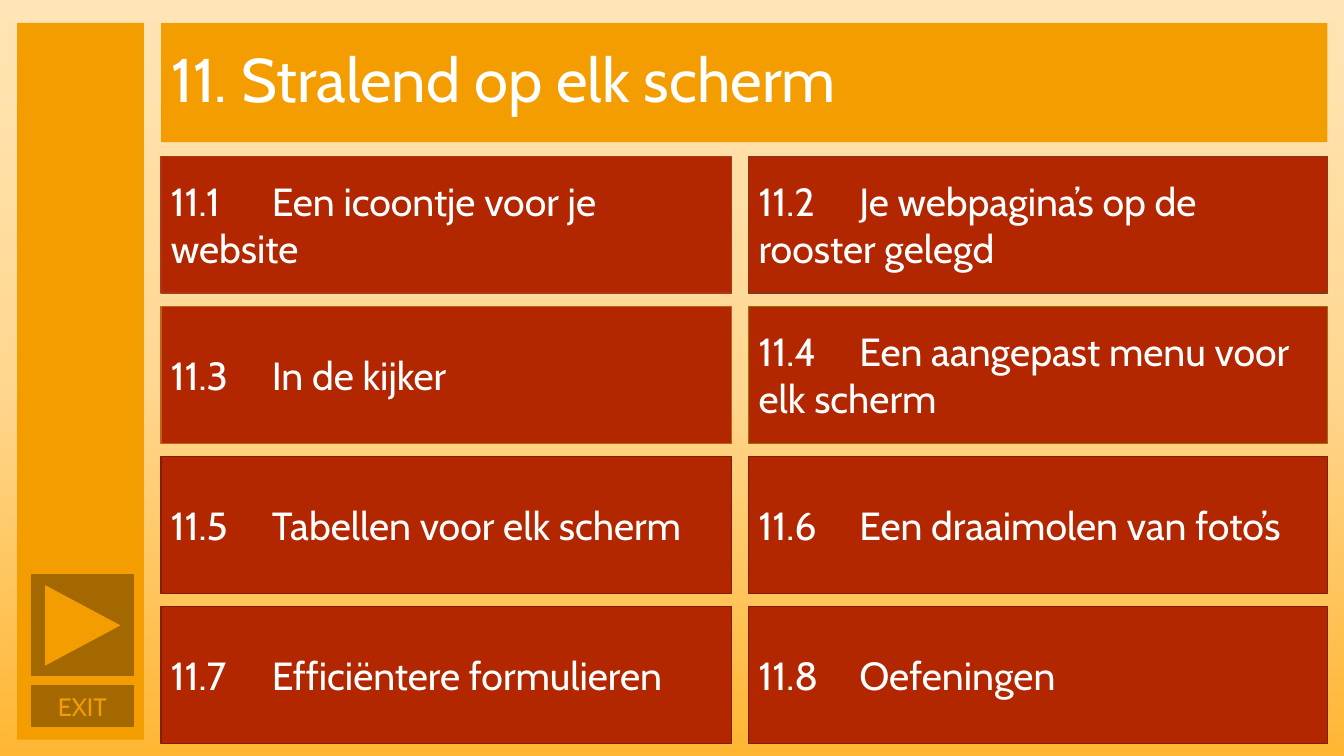
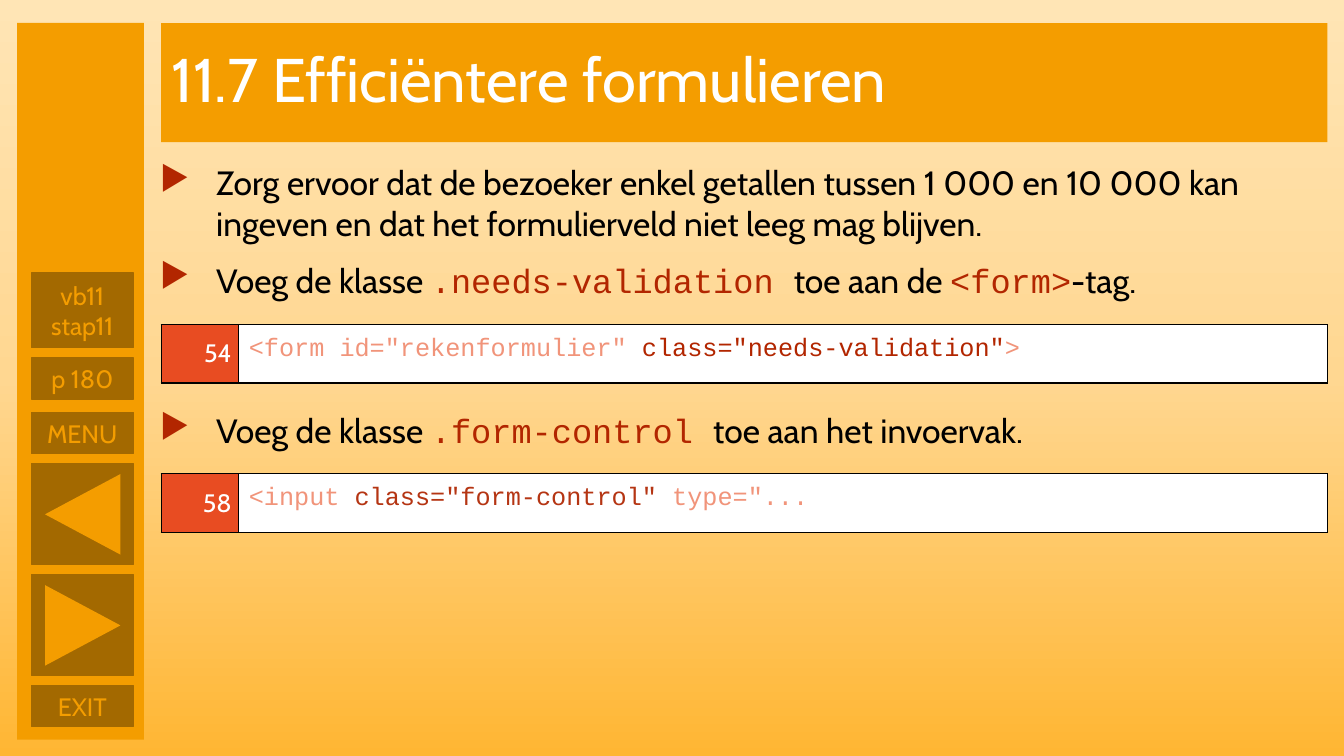
from copy import deepcopy

from lxml import etree
from pptx import Presentation
from pptx.dml.color import RGBColor as Rgb
from pptx.enum.shapes import MSO_SHAPE as Shape
from pptx.enum.text import MSO_ANCHOR as Anchor, PP_ALIGN as Align
from pptx.oxml import parse_xml
from pptx.oxml.ns import nsdecls, qn
from pptx.util import Cm, Pt

COLORS = {
    "orange": "F49D00",
    "button": "A36900",
    "tile": "B22600",
    "line number": "E84C22",
    "faded code": "F1947A",
    "attribute": "B53513",
    "white": "FFFFFF",
    "black": "000000",
}
BACKGROUND_STOPS = [(0, "FFE5B5"), (0.5, "FFD791"), (1, "FFB633")]
BODY_FONT, CODE_FONT = "Cabin", "Courier New"

# Text styles: font, size, colour
STYLES = {
    "title": (BODY_FONT, 44, "white"),
    "tile": (BODY_FONT, 28, "white"),
    "button": (BODY_FONT, 18, "orange"),
    "body": (BODY_FONT, 24, "black"),
    "keyword": (CODE_FONT, 24, "tile"),
    "line number": (BODY_FONT, 18, "white"),
    "faded": (CODE_FONT, 18, "faded code"),
    "new": (CODE_FONT, 18, "tile"),
    "attribute": (CODE_FONT, 18, "attribute"),
}

# Shared layout, in centimetres
TOP = 0.58
CONTENT_LEFT, CONTENT_WIDTH = 4.06, 29.39
BUTTON_LEFT, BUTTON_WIDTH, BUTTON_HEIGHT = 0.79, 2.57, 1.04
ARROW_BUTTON_HEIGHT = 2.54


def add_runs(paragraph, *runs):
    """Add (text, style name) runs to a paragraph."""
    for text, style in runs:
        name, size, color = STYLES[style]
        run = paragraph.add_run()
        run.text = text
        run.font.name = name
        run.font.size = Pt(size)
        run.font.color.rgb = Rgb.from_string(COLORS[color])


def add_box(slide, kind, box, fill, line=None, lines=(), style=None, align=Align.LEFT):
    """Add a filled shape with an optional outline and lines of text."""
    shape = slide.shapes.add_shape(kind, *map(Cm, box))
    shape.shadow.inherit = False
    shape.fill.solid()
    shape.fill.fore_color.rgb = Rgb.from_string(COLORS[fill])
    if line:
        shape.line.color.rgb = Rgb.from_string(line)
        shape.line.width = Pt(1)
    else:
        shape.line.fill.background()
    frame = shape.text_frame
    frame.vertical_anchor = Anchor.MIDDLE
    for index, text in enumerate(lines):
        paragraph = frame.add_paragraph() if index else frame.paragraphs[0]
        paragraph.alignment = align
        add_runs(paragraph, (text, style))
    return shape


presentation = Presentation()
presentation.slide_width = Cm(33.87)
presentation.slide_height = Cm(19.05)

# Background gradient on the master
master = presentation.slide_master
background = master.background.fill
background.gradient()
background.gradient_angle = 270
stop_list = next(master.element.iter(qn("a:gsLst")))
stop_list.insert(1, deepcopy(stop_list[0]))
for stop, (position, color) in zip(background.gradient_stops, BACKGROUND_STOPS):
    stop.position = position
    stop.color.rgb = Rgb.from_string(color)

# Title, sidebar and navigation of each slide
EXIT = (17.27, BUTTON_HEIGHT, ["EXIT"])
MENU = (10.39, BUTTON_HEIGHT, ["MENU"])
PAGE = (9.02, BUTTON_HEIGHT, ["p 180"])
STEP = (6.88, 1.88, ["vb11", "stap11"])
NEXT, PREVIOUS = (14.48, 90), (11.68, 270)
PAGES = [
    ("11. Stralend op elk scherm", [EXIT], [NEXT]),
    ("11.7 Efficiëntere formulieren", [EXIT, MENU, PAGE, STEP], [NEXT, PREVIOUS]),
]
slides = []
for title_text, buttons, arrows in PAGES:
    slide = presentation.slides.add_slide(presentation.slide_layouts[5])
    slides.append(slide)

    title = slide.shapes.title
    title.left, title.top = Cm(CONTENT_LEFT), Cm(TOP)
    title.width, title.height = Cm(CONTENT_WIDTH), Cm(3)
    title.fill.solid()
    title.fill.fore_color.rgb = Rgb.from_string(COLORS["orange"])
    title.text_frame.vertical_anchor = Anchor.MIDDLE
    heading = title.text_frame.paragraphs[0]
    heading.alignment = Align.LEFT
    heading.line_spacing = 0.9
    add_runs(heading, (title_text, "title"))

    add_box(slide, Shape.RECTANGLE, (0.43, TOP, 3.2, 18.06), "orange")
    for top, height, lines in buttons:
        add_box(slide, Shape.RECTANGLE, (BUTTON_LEFT, top, BUTTON_WIDTH, height),
                "button", COLORS["button"], lines, "button", Align.CENTER)
    for top, rotation in arrows:
        add_box(slide, Shape.RECTANGLE, (BUTTON_LEFT, top, BUTTON_WIDTH, ARROW_BUTTON_HEIGHT),
                "button", COLORS["button"])
        arrow = add_box(slide, Shape.ISOSCELES_TRIANGLE, (1.07, top + 0.33, 2.03, 1.9), "orange")
        arrow.rotation = rotation

menu_slide, form_slide = slides

# Chapter menu: two columns of tiles
TILES = [
    ("11.1 \tEen icoontje voor je website", "AC3819"),
    ("11.2 \tJe webpagina’s op de rooster gelegd", "87361C"),
    ("11.3 \tIn de kijker", "BD621D"),
    ("11.4 \tEen aangepast menu voor elk scherm", "977100"),
    ("11.5 \tTabellen voor elk scherm", "841C00"),
    ("11.6 \tEen draaimolen van foto’s", "841C00"),
    ("11.7 \tEfficiëntere formulieren", "841C00"),
    ("11.8 \tOefeningen", "841C00"),
]
TILE_COLUMNS = [(CONTENT_LEFT, 14.38), (18.87, 14.58)]
for index, (text, outline) in enumerate(TILES):
    row, column = divmod(index, 2)
    left, width = TILE_COLUMNS[column]
    add_box(menu_slide, Shape.RECTANGLE, (left, 3.94 + row * 3.78, width, 3.45),
            "tile", outline, [text], "tile")

# Bulleted instructions
INSTRUCTIONS = [
    (3.96, 3.76, [
        [("Zorg ervoor dat de bezoeker enkel getallen tussen 1 000 en 10 000 kan "
          "ingeven en dat het formulierveld niet leeg mag blijven.", "body")],
        [("Voeg de klasse ", "body"), (".needs-validation ", "keyword"),
         ("toe aan de ", "body"), ("<form>", "keyword"), ("-tag.", "body")],
    ]),
    (10.21, 1.27, [
        [("Voeg de klasse ", "body"), (".form-control ", "keyword"),
         ("toe aan het invoervak.", "body")],
    ]),
]
for top, height, paragraphs in INSTRUCTIONS:
    text_box = form_slide.shapes.add_textbox(Cm(3.78), Cm(top), Cm(29.67), Cm(height))
    frame = text_box.text_frame
    frame.word_wrap = True
    for index, runs in enumerate(paragraphs):
        paragraph = frame.add_paragraph() if index else frame.paragraphs[0]
        properties = paragraph._p.get_or_add_pPr()
        properties.set("marL", str(Cm(1.42)))
        properties.set("indent", str(-Cm(1.42)))
        bullet_color = etree.SubElement(properties, qn("a:buClr"))
        etree.SubElement(bullet_color, qn("a:srgbClr"), val=COLORS["tile"])
        etree.SubElement(properties, qn("a:buChar"), char="▶")
        if index:
            paragraph.space_before = Pt(12)
        add_runs(paragraph, *runs)

# Code lines: line number and code
CODE_LINES = [
    (8.18, "54", [('<form id="rekenformulier" ', "faded"),
                  ('class="needs-validation"', "new"), (">", "faded")]),
    (11.94, "58", [("<input ", "faded"), ('class="form-control" ', "attribute"),
                   ('type="...', "faded")]),
]
for top, number, code in CODE_LINES:
    table = form_slide.shapes.add_table(
        1, 2, Cm(CONTENT_LEFT), Cm(top), Cm(CONTENT_WIDTH), Cm(1.47)).table
    table.first_row = table.horz_banding = False
    cells = [
        (1.96, "line number", 0.18, 0, Align.RIGHT, [(number, "line number")]),
        (27.43, "white", 0.25, 0.2, Align.LEFT, code),
    ]
    for index, (width, fill, side, bottom, align, runs) in enumerate(cells):
        table.columns[index].width = Cm(width)
        cell = table.cell(0, index)
        cell.margin_left = cell.margin_right = Cm(side)
        cell.margin_top, cell.margin_bottom = 0, Cm(bottom)
        cell.vertical_anchor = Anchor.MIDDLE
        for edge in ("lnL", "lnR", "lnT", "lnB"):
            cell._tc.get_or_add_tcPr().append(parse_xml(
                f'<a:{edge} {nsdecls("a")} w="{Pt(1)}"><a:solidFill>'
                f'<a:srgbClr val="{COLORS["black"]}"/></a:solidFill></a:{edge}>'))
        cell.fill.solid()
        cell.fill.fore_color.rgb = Rgb.from_string(COLORS[fill])
        paragraph = cell.text_frame.paragraphs[0]
        paragraph.alignment = align
        add_runs(paragraph, *runs)

presentation.save("out.pptx")
